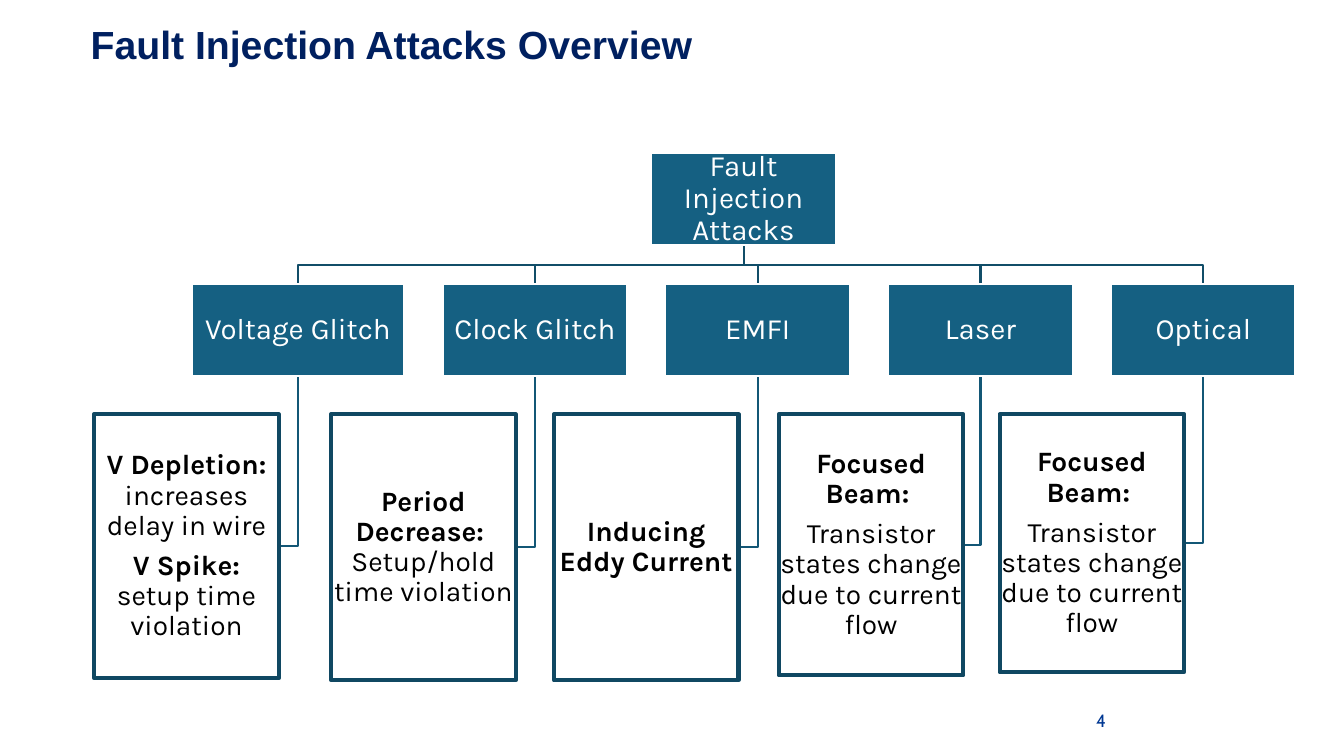
from dataclasses import dataclass
from pptx import Presentation
from pptx.dml.color import RGBColor
from pptx.enum.shapes import MSO_SHAPE
from pptx.enum.text import MSO_ANCHOR, MSO_AUTO_SIZE, PP_ALIGN
from pptx.util import Inches, Pt

TITLE = "Fault Injection Attacks Overview"
PAGE_NUMBER = "4"
ROOT = "Fault Injection Attacks"
FOCUSED_BEAM = [
    [("Focused Beam: ", True)],
    [("Transistor states change due to current flow", False)],
]
ATTACKS = [
    {"name": "Voltage Glitch", "width": 2.11, "height": 2.62, "gap": 0.19, "effects": [
        [("V Depletion: ", True), ("increases delay in wire", False)],
        [("V Spike: ", True), ("setup time violation", False)],
    ]},
    {"name": "Clock Glitch", "width": 1.83, "height": 2.64, "gap": 0.19, "effects": [
        [("Period Decrease: \n", True), ("Setup/hold time violation", False)],
    ]},
    {"name": "EMFI", "width": 1.83, "height": 2.64, "gap": 0.19, "effects": [
        [("Inducing Eddy Current", True)],
    ]},
    {"name": "Laser", "width": 1.83, "height": 2.59, "gap": 0.17, "effects": FOCUSED_BEAM},
    {"name": "Optical", "width": 1.83, "height": 2.56, "gap": 0.19, "effects": FOCUSED_BEAM},
]


@dataclass(frozen=True)
class Theme:
    title_color: str = "002060"
    number_color: str = "003893"
    node_fill: str = "156082"
    node_line: str = "FFFFFF"
    node_text: str = "FFFFFF"
    effect_line: str = "104862"
    effect_text: str = "000000"
    trunk: str = "114D68"
    branch: str = "135776"
    title_font: str = "Arial"
    number_font: str = "Cabin"
    chart_font: str = "Karla"
    title_size: float = 28
    number_size: float = 12.7
    node_size: float = 21
    effect_size: float = 20


THEME = Theme()
BOX_WIDTH, NODE_HEIGHT = 1.83, 0.91
ROOT_LEFT, ROOT_TOP = 6.46, 1.52
ROW_LEFT, ROW_GAP = 1.9, 0.38
NODE_TOP = ROOT_TOP + NODE_HEIGHT + 0.39
EFFECT_TOP = NODE_TOP + NODE_HEIGHT + ROW_GAP


def write(box, paragraphs, font, size, color, align=PP_ALIGN.CENTER,
          anchor=MSO_ANCHOR.MIDDLE, inset=0.01, line_spacing=None, space_after=None):
    frame = box.text_frame
    frame.word_wrap = True
    frame.auto_size = MSO_AUTO_SIZE.NONE
    frame.vertical_anchor = anchor
    frame.margin_left = frame.margin_right = Inches(inset)
    frame.margin_top = frame.margin_bottom = Inches(inset)
    for index, pieces in enumerate(paragraphs):
        para = frame.add_paragraph() if index else frame.paragraphs[0]
        para.alignment = align
        para.line_spacing = line_spacing
        para.space_after = space_after
        for text, bold in pieces:
            span = para.add_run()
            span.text = text.rstrip("\n")
            span.font.name = font
            span.font.size = Pt(size)
            span.font.bold = bold
            span.font.color.rgb = RGBColor.from_string(color)
            if text.endswith("\n"):
                para.add_line_break()


def add_box(page, at, paragraphs, size, color, line, line_width, fill=None):
    box = page.shapes.add_shape(MSO_SHAPE.RECTANGLE, *map(Inches, at))
    box.shadow.inherit = False
    if fill:
        box.fill.solid()
        box.fill.fore_color.rgb = RGBColor.from_string(fill)
    else:
        box.fill.background()
    box.line.color.rgb = RGBColor.from_string(line)
    box.line.width = Pt(line_width)
    write(box, paragraphs, THEME.chart_font, size, color,
          line_spacing=0.9, space_after=Pt(size * 0.35))


def add_node(page, left, top, width, name):
    add_box(page, (left, top, width, NODE_HEIGHT), [[(name, False)]], THEME.node_size,
            THEME.node_text, THEME.node_line, 1.5, THEME.node_fill)


def add_path(page, points, color):
    start, *rest = [(Inches(x), Inches(y)) for x, y in points]
    builder = page.shapes.build_freeform(*start)
    builder.add_line_segments(rest, close=False)
    path_shape = builder.convert_to_shape()
    path_shape.shadow.inherit = False
    path_shape.fill.background()
    path_shape.line.color.rgb = RGBColor.from_string(color)
    path_shape.line.width = Pt(1.5)


def place_attacks():
    left = ROW_LEFT
    for attack in ATTACKS:
        center = left + attack["width"] / 2
        yield attack, left, center, center - attack["gap"] - BOX_WIDTH
        left += attack["width"] + ROW_GAP


def add_tree(page):
    placed = list(place_attacks())
    root_center = ROOT_LEFT + BOX_WIDTH / 2
    root_bottom = ROOT_TOP + NODE_HEIGHT
    middle = (root_bottom + NODE_TOP) / 2
    for attack, left, center, effect_left in placed:
        effect_middle = EFFECT_TOP + attack["height"] / 2
        add_path(page, [(center, NODE_TOP + NODE_HEIGHT), (center, effect_middle),
                        (effect_left + BOX_WIDTH, effect_middle)], THEME.branch)
        add_path(page, [(root_center, root_bottom), (root_center, middle),
                        (center, middle), (center, NODE_TOP)], THEME.trunk)
    add_node(page, ROOT_LEFT, ROOT_TOP, BOX_WIDTH, ROOT)
    for attack, left, center, effect_left in placed:
        add_node(page, left, NODE_TOP, attack["width"], attack["name"])
        add_box(page, (effect_left, EFFECT_TOP, BOX_WIDTH, attack["height"]),
                attack["effects"], THEME.effect_size, THEME.effect_text,
                THEME.effect_line, 3)


def main():
    deck = Presentation()
    deck.slide_width, deck.slide_height = Inches(13.33), Inches(7.5)
    page = deck.slides.add_slide(deck.slide_layouts[5])
    title = page.shapes.title
    title.left, title.top = Inches(0.76), Inches(0.16)
    title.width, title.height = Inches(9.62), Inches(0.65)
    write(title, [[(TITLE, True)]], THEME.title_font, THEME.title_size, THEME.title_color,
          align=PP_ALIGN.LEFT, anchor=MSO_ANCHOR.BOTTOM, inset=0.14)
    number = page.shapes.add_textbox(Inches(9.42), Inches(6.95), Inches(3), Inches(0.4))
    write(number, [[(PAGE_NUMBER, False)]], THEME.number_font, THEME.number_size,
          THEME.number_color)
    add_tree(page)
    deck.save("out.pptx")


if __name__ == "__main__":
    main()
